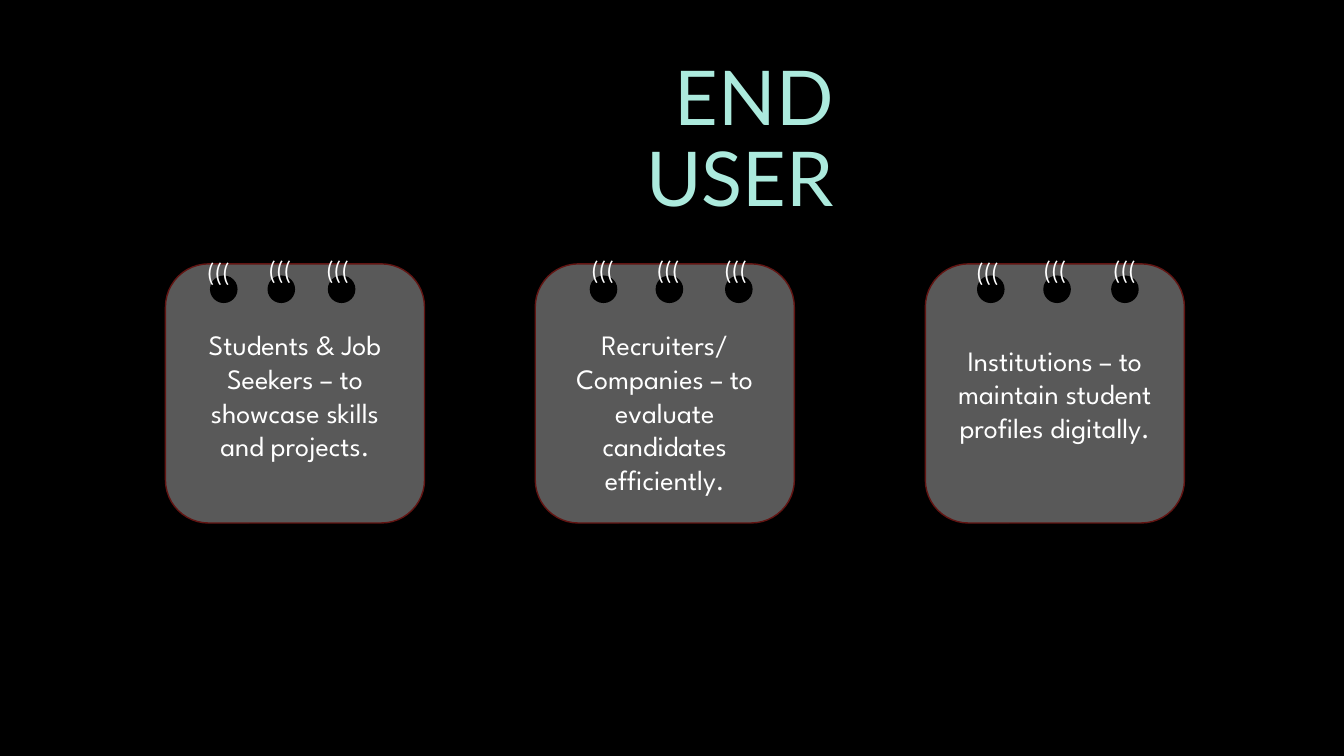
"""Build the END USER slide with three spiral notepad cards."""
from dataclasses import dataclass

from pptx import Presentation
from pptx.dml.color import RGBColor
from pptx.enum.shapes import MSO_SHAPE
from pptx.enum.text import MSO_ANCHOR, MSO_AUTO_SIZE, PP_ALIGN
from pptx.shapes.autoshape import Shape
from pptx.slide import Slide
from pptx.text.text import TextFrame
from pptx.util import Cm, Pt

BLACK = RGBColor(0x00, 0x00, 0x00)
WHITE = RGBColor(0xFF, 0xFF, 0xFF)
GRAY = RGBColor(0x59, 0x59, 0x59)
MAROON = RGBColor(0x62, 0x14, 0x12)
MINT = RGBColor(0xAC, 0xEA, 0xDD)
TITLE_FONT = "Lato"
BODY_FONT = "League Spartan"
CARD_TOP, CARD_SIZE = 6.65, 6.53
HOLE_TOP, HOLE_SIZE = 6.96, 0.66
COIL_HEIGHT = 1.02


@dataclass(frozen=True)
class Ring:
    hole_left: float
    coil_left: float
    coil_top: float
    coil_width: float = 3.5


@dataclass(frozen=True)
class Notepad:
    left: float
    text: str
    top_inset: float
    rings: tuple[Ring, ...]


NOTEPADS = (
    Notepad(4.17, "Students & Job Seekers – to showcase skills and projects.", 0.21, (
        Ring(5.31, 4.98, 6.3), Ring(6.76, 6.53, 6.27), Ring(8.28, 7.98, 6.25))),
    Notepad(13.49, "Recruiters/Companies – to evaluate candidates efficiently.", 1.06, (
        Ring(14.88, 14.66, 6.27, 1.63), Ring(16.54, 16.31, 6.27, 1.75),
        Ring(18.29, 18.01, 6.25))),
    Notepad(23.32, "Institutions – to maintain student profiles digitally.", 0.13, (
        Ring(24.64, 24.36, 6.3), Ring(26.31, 26.06, 6.27, 1.6),
        Ring(28.02, 27.81, 6.25))),
)


def write(tf: TextFrame, text: str, font: str, size: float, color: RGBColor,
          align: PP_ALIGN) -> None:
    tf.word_wrap = True
    tf.text = text
    p = tf.paragraphs[0]
    p.alignment = align
    r = p.runs[0]
    r.font.name = font
    r.font.size = Pt(size)
    r.font.color.rgb = color


def add_block(s: Slide, kind: MSO_SHAPE, left: float, top: float, size: float,
              fill: RGBColor, line: RGBColor) -> Shape:
    sp = s.shapes.add_shape(kind, Cm(left), Cm(top), Cm(size), Cm(size))
    sp.shadow.inherit = False
    sp.fill.solid()
    sp.fill.fore_color.rgb = fill
    sp.line.color.rgb = line
    sp.line.width = Pt(1)
    return sp


def add_title(s: Slide) -> None:
    sp = s.shapes.add_textbox(Cm(11.58), Cm(1.78), Cm(9.68), Cm(3.58))
    tf = sp.text_frame
    tf.vertical_anchor = MSO_ANCHOR.MIDDLE
    write(tf, "END USER", TITLE_FONT, 54, MINT, PP_ALIGN.RIGHT)
    tf.paragraphs[0].line_spacing = 0.9


def add_ring(s: Slide, ring: Ring) -> None:
    add_block(s, MSO_SHAPE.FLOWCHART_CONNECTOR, ring.hole_left, HOLE_TOP, HOLE_SIZE,
              BLACK, BLACK)
    sp = s.shapes.add_textbox(Cm(ring.coil_left), Cm(ring.coil_top),
                              Cm(ring.coil_width), Cm(COIL_HEIGHT))
    write(sp.text_frame, "(((", BODY_FONT, 18, WHITE, PP_ALIGN.LEFT)
    sp.text_frame.auto_size = MSO_AUTO_SIZE.SHAPE_TO_FIT_TEXT


def add_notepad(s: Slide, pad: Notepad) -> None:
    sp = add_block(s, MSO_SHAPE.ROUNDED_RECTANGLE, pad.left, CARD_TOP, CARD_SIZE,
                   GRAY, MAROON)
    tf = sp.text_frame
    tf.vertical_anchor = MSO_ANCHOR.MIDDLE
    tf.margin_top = Cm(pad.top_inset)
    write(tf, pad.text, BODY_FONT, 20, WHITE, PP_ALIGN.CENTER)
    for ring in pad.rings:
        add_ring(s, ring)


def main() -> None:
    prs = Presentation()
    prs.slide_width, prs.slide_height = Cm(33.87), Cm(19.05)
    s = prs.slides.add_slide(prs.slide_layouts[6])
    s.background.fill.solid()
    s.background.fill.fore_color.rgb = BLACK
    add_title(s)
    for pad in NOTEPADS:
        add_notepad(s, pad)
    prs.save("out.pptx")


if __name__ == "__main__":
    main()
